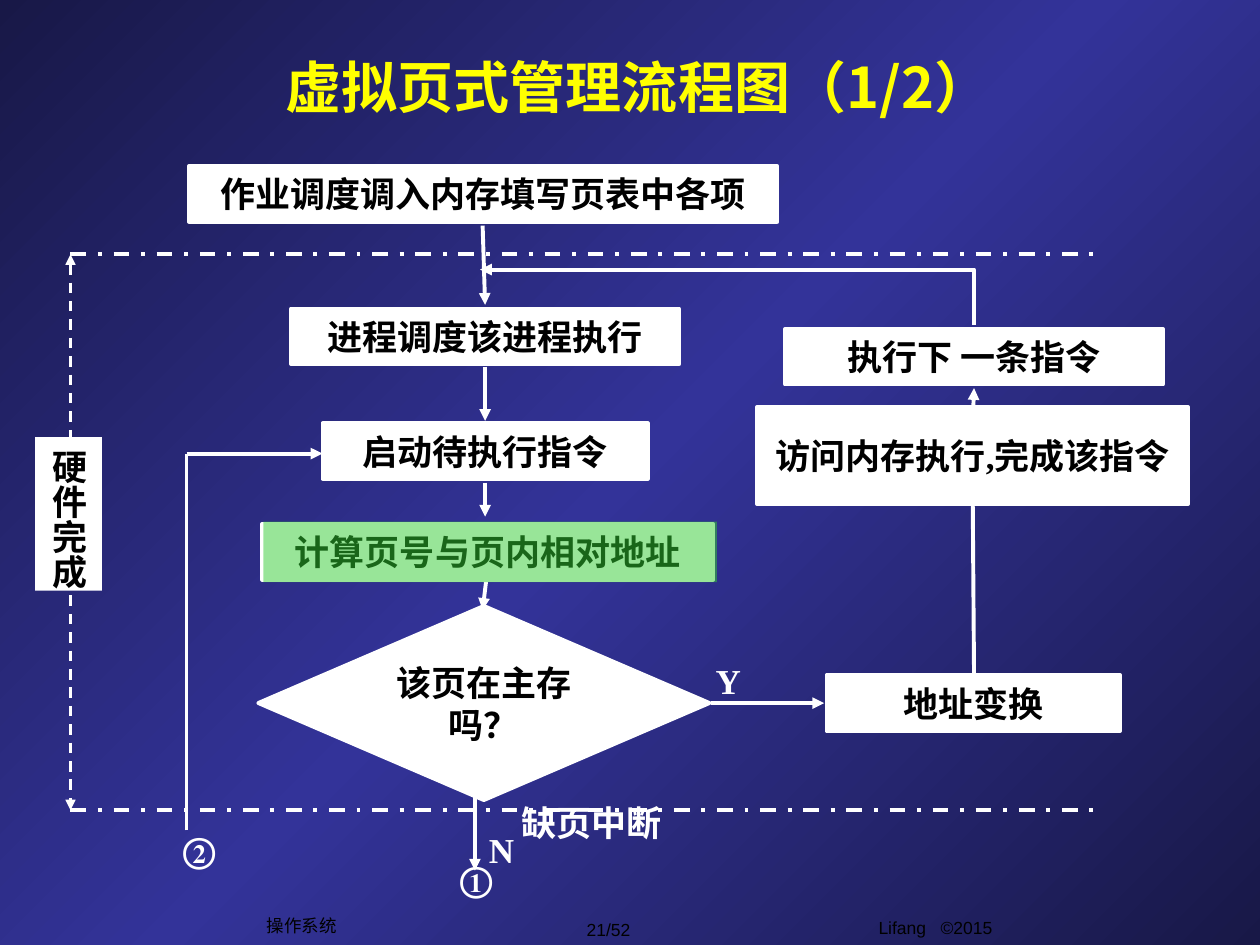
from copy import deepcopy

from pptx import Presentation
from pptx.dml.color import RGBColor
from pptx.enum.dml import MSO_LINE_DASH_STYLE as Dash
from pptx.enum.shapes import MSO_CONNECTOR as Connector, MSO_SHAPE as Preset
from pptx.enum.text import MSO_ANCHOR as Anchor, PP_ALIGN as Align
from pptx.oxml.ns import qn
from pptx.oxml.xmlchemy import OxmlElement
from pptx.util import Pt

COLORS = {
    "edge": "181847", "center": "333399", "title": "FFFF00",
    "white": "FFFFFF", "black": "000000", "highlight": "33CC33",
}
BODY_FONT = "Times New Roman"
NODE_HEIGHT = 31.7


def rgb(name):
    return RGBColor.from_string(COLORS[name])


def place(box, left, top, width, height):
    return [Pt(round(value, 2)) for value in (box[0] + left, box[1] + top, width, height)]


def set_text(shape, text, size=20, font=BODY_FONT, color="black", bold=True,
             wrap=True, anchor=Anchor.MIDDLE):
    frame = shape.text_frame
    frame.word_wrap = wrap
    frame.vertical_anchor = anchor
    frame.margin_left = frame.margin_right = Pt(7.2)
    frame.margin_top = frame.margin_bottom = Pt(3.6)
    frame.text = text
    paragraph = frame.paragraphs[0]
    paragraph.alignment = Align.CENTER
    run_font = paragraph.runs[0].font
    run_font.size, run_font.name, run_font.bold = Pt(size), font, bold
    run_font.color.rgb = rgb(color)


def add_label(slide, box, text, left, top, width, height=NODE_HEIGHT, color="white", **style):
    shape = slide.shapes.add_textbox(*place(box, left, top, width, height))
    set_text(shape, text, color=color, **style)


def add_block(slide, box, preset, left, top, width, height, fill="white", outlined=False):
    shape = slide.shapes.add_shape(preset, *place(box, left, top, width, height))
    shape.shadow.inherit = False
    shape.fill.solid()
    shape.fill.fore_color.rgb = rgb(fill)
    if outlined:
        shape.line.color.rgb = rgb("white")
        shape.line.width = Pt(2.25)
    else:
        shape.line.fill.background()
    return shape


def add_node(slide, box, text, left, top, width, height=NODE_HEIGHT,
             preset=Preset.FLOWCHART_PROCESS):
    shape = add_block(slide, box, preset, left, top, width, height, outlined=True)
    set_text(shape, text)


def add_line(slide, box, start, end, ends=("tailEnd",), width=2.25, dash=None,
             kind=Connector.STRAIGHT):
    points = place(box, *start, 0, 0)[:2] + place(box, *end, 0, 0)[:2]
    connector = slide.shapes.add_connector(kind, *points)
    connector.line.color.rgb = rgb("white")
    connector.line.width = Pt(width)
    if dash:
        connector.line.dash_style = dash
    properties = connector.element.spPr
    for tag in ends:
        arrowhead = OxmlElement(f"a:{tag}")
        arrowhead.set("type", "triangle")
        properties.find(qn("a:ln")).append(arrowhead)
    properties.append(OxmlElement("a:effectLst"))
    return connector


def add_up_left_arrow(slide, box, start, end):
    center_x, center_y = (start[0] + end[0]) / 2, (start[1] + end[1]) / 2
    half_width, half_height = (start[1] - end[1]) / 2, (start[0] - end[0]) / 2
    connector = add_line(slide, box, (center_x - half_width, center_y + half_height),
                         (center_x + half_width, center_y - half_height), kind=Connector.ELBOW)
    properties = connector.element.spPr
    properties.find(qn("a:xfrm")).set("rot", "16200000")
    properties.find(qn("a:prstGeom")).set("prst", "bentConnector2")


def draw_background(slide):
    fill = slide.background.fill
    fill.gradient()
    fill.gradient_angle = 315
    stop_list = slide.element.find(".//" + qn("a:gsLst"))
    stop_list.append(deepcopy(stop_list[0]))
    for stop, position, color in zip(fill.gradient_stops, (0, 0.5, 1), ("edge", "center", "edge")):
        stop.position = position
        stop.color.rgb = rgb(color)


def draw_footer(slide, box):
    style = {"size": 10, "font": "Arial", "color": "black", "bold": False}
    add_label(slide, box, "Lifang   ©2015", 275, 1.4, 228.2, 25.2, anchor=Anchor.TOP, **style)
    add_label(slide, box, "21/52", 165.6, 2.2, 73.4, 19.4, wrap=False, **style)
    add_label(slide, box, "操作系统", 0, 0, 54, 19.4, wrap=False, **style)


def draw_title(slide, box):
    add_label(slide, box, "虚拟页式管理流程图（1/2）", 0, 0, *box[2:], size=32,
              font="Noto Sans CJK SC", color="title")


def draw_main_flow(slide, box):
    for text, left, top, width in (
        ("计算页号与页内相对地址", 41.8, 204.5, 257.8),
        ("作业调度调入内存填写页表中各项", 0, 0, 336.2),
        ("进程调度该进程执行", 58.3, 81.4, 221.8),
        ("启动待执行指令", 76.3, 146.9, 185.8),
    ):
        add_node(slide, box, text, left, top, width)
    add_node(slide, box, "该页在主存吗？", 39.6, 251.3, 257.8, 110.9, Preset.FLOWCHART_DECISION)
    for start, end in (
        ((167.8, 33.9), (169.2, 79.2)),
        ((169.2, 114.5), (169.2, 145.5)),
        ((169.2, 180.8), (169.2, 200.2)),
        ((169.9, 236.2), (167.8, 253.5)),
        ((298.1, 306.8), (362.9, 306.8)),
        ((163.4, 355), (163.4, 402.5)),
    ):
        add_line(slide, box, start, end)


def draw_return_branch(slide, box):
    add_node(slide, box, "执行下 一条指令", 15.9, 0, 216)
    add_node(slide, box, "访问内存执行,完成该指令", 0, 44.6, 246.2, 55.4)
    add_node(slide, box, "地址变换", 39.6, 197.9, 167.8)
    add_line(slide, box, (123.9, 196.5), (123.1, 90.6))
    add_line(slide, box, (123.1, 54.6), (123.9, 33.8))
    add_up_left_arrow(slide, box, (123.9, -2.2), (-158.4, -33.9))


def draw_hardware_band(slide, box):
    width, height = box[2:]
    for top in (height, 0):
        add_line(slide, box, (0, top), (width, top), (), dash=Dash.DASH_DOT)
    add_line(slide, box, (0, 0), (0, height), ("headEnd", "tailEnd"), 1.5, Dash.DASH)
    label = add_block(slide, box, Preset.RECTANGLE, -20.2, 104.4, 38.2, 87.8)
    set_text(label, "硬件完成", wrap=False)
    frame = label.text_frame
    frame.margin_left = frame.margin_right = Pt(3.6)
    frame.margin_top = frame.margin_bottom = Pt(7.2)
    frame._txBody.bodyPr.set("vert", "eaVert")


def draw_branch_labels(slide, box):
    for text, left, top, width in (
        ("Y", 305.3, 0, 28.8),
        ("N", 175.7, 96.4, 28.8),
        ("缺页中断", 194.4, 81.3, 94.3),
        ("①", 158.4, 113, 34.6),
        ("②", 0, 96.4, 34.6),
    ):
        add_label(slide, box, text, left, top, width, wrap=False)


def draw_retry_loop(slide, box):
    width, height = box[2:]
    add_line(slide, box, (0, height), (0, 0), ())
    add_line(slide, box, (0, 0), (width, 0))


def draw_highlight(slide, box):
    shape = add_block(slide, box, Preset.RECTANGLE, 0, 0, *box[2:], fill="highlight")
    alpha = OxmlElement("a:alpha")
    alpha.set("val", "50000")
    shape.element.spPr.find(".//" + qn("a:srgbClr")).append(alpha)


def main():
    presentation = Presentation()
    presentation.slide_width, presentation.slide_height = Pt(720), Pt(540)
    slide = presentation.slides.add_slide(presentation.slide_layouts[6])
    draw_background(slide)
    draw_footer(slide, (145.4, 519.1, 503.2, 26.6))
    draw_title(slide, (70.6, 26.6, 588.2, 45.4))
    draw_main_flow(slide, (108, 95, 362.9, 402.5))
    draw_return_branch(slide, (432.7, 188, 246.2, 229.6))
    draw_hardware_band(slide, (40.3, 145.4, 589.7, 317.5))
    draw_branch_labels(slide, (96.5, 373, 334.1, 144.7))
    draw_retry_loop(slide, (106.6, 259.2, 77.7, 215.3))
    draw_highlight(slide, (150.5, 298.1, 259.2, 34.6))
    presentation.save("out.pptx")


if __name__ == "__main__":
    main()
